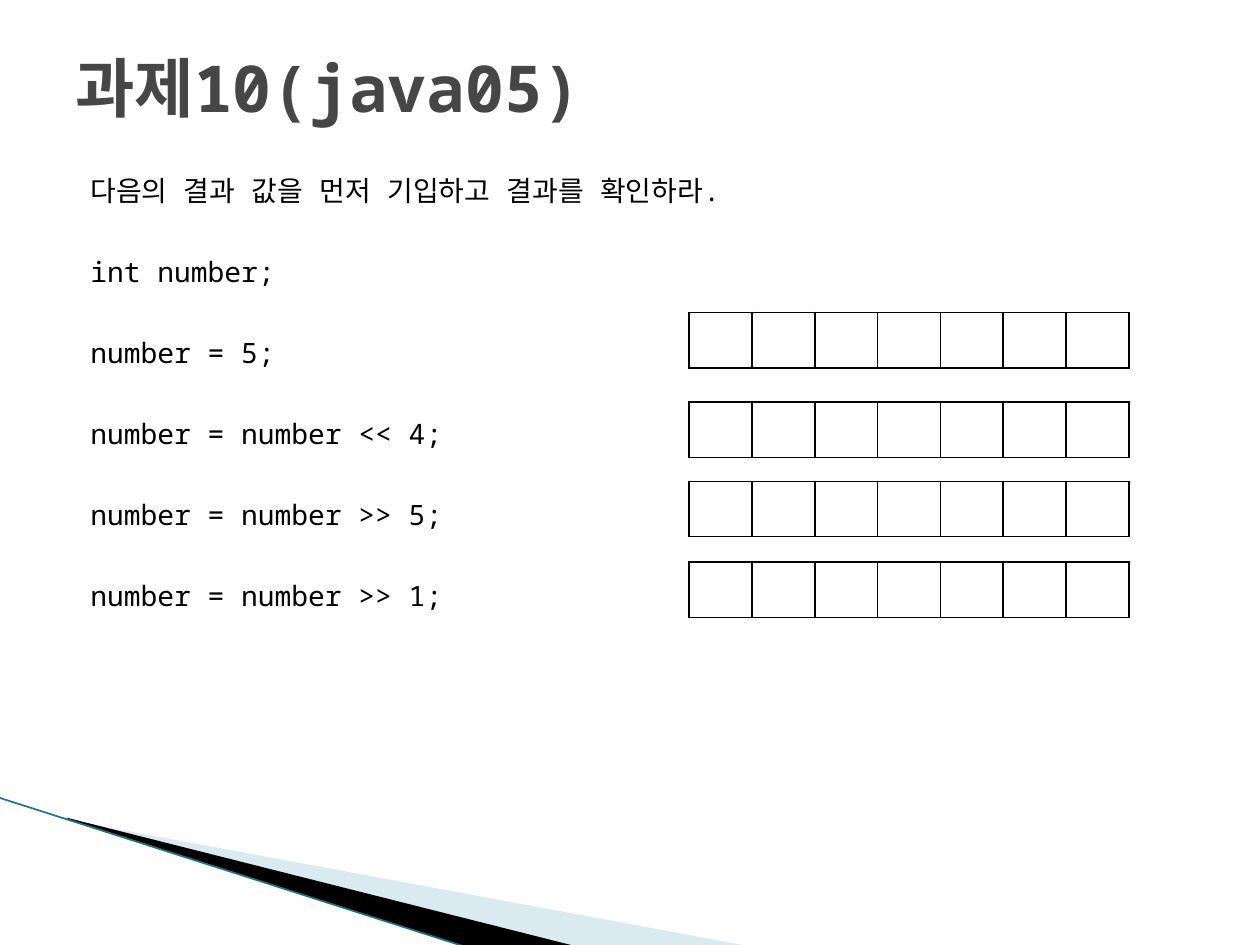
from lxml import etree
from pptx import Presentation
from pptx.dml.color import RGBColor
from pptx.enum.shapes import MSO_CONNECTOR
from pptx.enum.text import MSO_ANCHOR
from pptx.oxml.ns import qn
from pptx.util import Inches, Pt

STRAIGHT = MSO_CONNECTOR.STRAIGHT
MIDDLE = MSO_ANCHOR.MIDDLE
TOP = MSO_ANCHOR.TOP
FONT = "Noto Sans Mono"
COLORS = {
    "title": "464646",
    "text": "000000",
    "border": "000000",
    "wedge": "000000",
    "pale": "A0CBDC",
    "edge": "1B7487",
}


class SlideBuilder:
    """Draws styled elements on the current slide."""

    def __init__(self, slide):
        self.slide = slide

    def color(self, name):
        return RGBColor.from_string(COLORS[name])

    def wedge(self, points, color, opacity=None):
        corners = [(Inches(x), Inches(y)) for x, y in points]
        builder = self.slide.shapes.build_freeform(*corners[0])
        builder.add_line_segments(corners[1:], close=True)
        shape = builder.convert_to_shape()
        shape.shadow.inherit = False
        shape.fill.solid()
        shape.fill.fore_color.rgb = self.color(color)
        shape.line.fill.background()
        if opacity is not None:
            fill_color = shape._element.spPr.find(qn("a:solidFill"))[0]
            etree.SubElement(fill_color, qn("a:alpha"), val=str(opacity * 1000))

    def line(self, start, end, color, width):
        ends = [Inches(value) for value in (*start, *end)]
        connector = self.slide.shapes.add_connector(STRAIGHT, *ends)
        connector.line.color.rgb = self.color(color)
        connector.line.width = Pt(width)
        etree.SubElement(connector._element.spPr, qn("a:effectLst"))

    def text(self, box, lines, size, color, bold=False, anchor=TOP,
             indent=0, line_spacing=None, space_before=0):
        shape = self.slide.shapes.add_textbox(*[Inches(value) for value in box])
        frame = shape.text_frame
        frame.word_wrap = True
        frame.vertical_anchor = anchor
        for index, line in enumerate(lines):
            paragraph = frame.add_paragraph() if index else frame.paragraphs[0]
            if index:
                paragraph.space_before = Pt(space_before)
            if line_spacing:
                paragraph.line_spacing = Pt(line_spacing)
            if indent:
                properties = paragraph._p.get_or_add_pPr()
                properties.set("marL", str(Inches(indent)))
                properties.set("indent", "0")
            run = paragraph.add_run()
            run.text = line
            run.font.size = Pt(size)
            run.font.bold = bold
            run.font.name = FONT
            run.font.color.rgb = self.color(color)
            for tag in ("a:ea", "a:cs"):
                etree.SubElement(run._r.rPr, qn(tag), typeface=FONT)

    def bit_row(self, left, top, width, height, count):
        frame = self.slide.shapes.add_table(
            1, count, Inches(left), Inches(top), Inches(width), Inches(height))
        table = frame.table
        table.first_row = False
        table.horz_banding = False
        for column in table.columns:
            column.width = Inches(width / count)
        for cell in table.iter_cells():
            self.borders(cell)
            cell.fill.background()

    def borders(self, cell):
        properties = cell._tc.get_or_add_tcPr()
        for side in ("a:lnL", "a:lnR", "a:lnT", "a:lnB"):
            border = etree.SubElement(properties, qn(side), w=str(Pt(1)))
            fill = etree.SubElement(border, qn("a:solidFill"))
            etree.SubElement(fill, qn("a:srgbClr"), val=COLORS["border"])


def main():
    presentation = Presentation()
    presentation.slide_width = Inches(10)
    presentation.slide_height = Inches(7.5)
    slide = presentation.slides.add_slide(presentation.slide_layouts[6])
    builder = SlideBuilder(slide)

    builder.wedge([(0.55, 6.51), (5.95, 7.51), (4.56, 7.51), (0.55, 6.5)],
                  "pale", opacity=40)
    builder.wedge([(0.53, 6.49), (4.57, 7.51), (3.72, 7.52), (0.54, 6.5)], "wedge")
    builder.line((-0.01, 6.33), (3.71, 7.52), "edge", 0.95)

    builder.text((0.5, 0.3, 9, 0.77), ["과제10(java05)"], 36.9, "title",
                 bold=True, anchor=MIDDLE)
    statements = [
        "다음의 결과 값을 먼저 기입하고 결과를 확인하라.",
        "int number;",
        "number = 5;",
        "number = number << 4;",
        "number = number >> 5;",
        "number = number >> 1;",
    ]
    builder.text((0.5, 1.31, 9, 5.83), statements, 16, "text",
                 indent=0.12, line_spacing=20.5, space_before=25.8)

    for top in (2.48, 3.19, 3.82, 4.46):
        builder.bit_row(5.47, top, 3.49, 0.44, 7)

    presentation.save("out.pptx")


if __name__ == "__main__":
    main()
